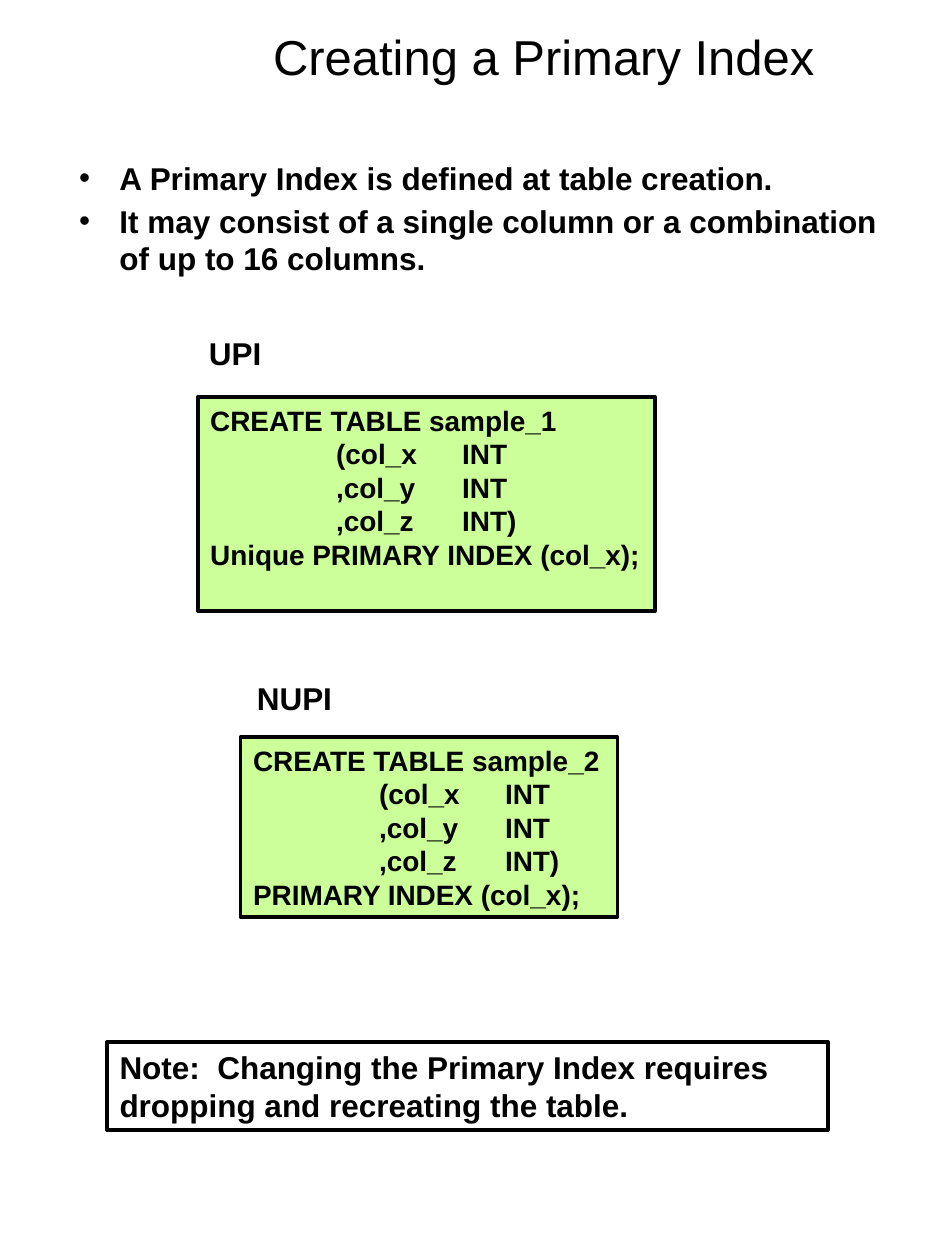
from lxml.etree import SubElement
from pptx import Presentation
from pptx.dml.color import RGBColor
from pptx.enum.shapes import MSO_SHAPE
from pptx.enum.text import MSO_ANCHOR, PP_ALIGN
from pptx.oxml.ns import qn
from pptx.util import Inches, Pt

BLACK = RGBColor(0x00, 0x00, 0x00)
LIGHT_GREEN = RGBColor(0xCC, 0xFF, 0x99)


class SlideBuilder:
    font_name = "Arial"
    line_width = Pt(2)
    bullet_indent = Inches(0.32)
    tab_count = 8

    def __init__(self, slide):
        self.slide = slide

    def set_text(self, shape, text, size, bold=True, wrap=True):
        frame = shape.text_frame
        frame.text = text
        frame.word_wrap = wrap
        frame.vertical_anchor = MSO_ANCHOR.TOP
        for para in frame.paragraphs:
            para.alignment = PP_ALIGN.LEFT
            for span in para.runs:
                span.font.name = self.font_name
                span.font.size = Pt(size)
                span.font.bold = bold
                span.font.color.rgb = BLACK
        return frame

    def add_tabs(self, para):
        tabs = SubElement(para._p.get_or_add_pPr(), qn("a:tabLst"))
        for inch in range(1, self.tab_count + 1):
            SubElement(tabs, qn("a:tab"), pos=str(Inches(inch)), algn="l")

    def text_box(self, left, top, width, height, text, size=18, bold=True, wrap=True):
        box = self.slide.shapes.add_textbox(
            Inches(left), Inches(top), Inches(width), Inches(height))
        return self.set_text(box, text, size, bold, wrap)

    def title(self, left, top, width, height, text):
        frame = self.text_box(left, top, width, height, text, size=28, bold=False)
        frame.vertical_anchor = MSO_ANCHOR.MIDDLE
        frame.paragraphs[0].alignment = PP_ALIGN.CENTER

    def bullets(self, left, top, width, height, items):
        frame = self.text_box(left, top, width, height, "\n".join(items))
        for para in frame.paragraphs:
            para.space_after = Pt(3)
            properties = para._p.get_or_add_pPr()
            properties.set("marL", str(self.bullet_indent))
            properties.set("indent", str(-self.bullet_indent))
            SubElement(properties, qn("a:buFont"), typeface=self.font_name)
            SubElement(properties, qn("a:buChar"), char="•")

    def label(self, left, top, width, height, text):
        self.text_box(left, top, width, height, text, wrap=False)

    def framed_box(self, left, top, width, height, text, size=18, fill=None):
        box = self.slide.shapes.add_shape(
            MSO_SHAPE.RECTANGLE,
            Inches(left), Inches(top), Inches(width), Inches(height))
        box.shadow.inherit = False
        box.line.color.rgb = BLACK
        box.line.width = self.line_width
        if fill is None:
            box.fill.background()
        else:
            box.fill.solid()
            box.fill.fore_color.rgb = fill
        return self.set_text(box, text, size)

    def code_box(self, left, top, width, height, table, index):
        columns = "\n".join(["\t(col_x\tINT", "\t,col_y\tINT", "\t,col_z\tINT)"])
        code = f"CREATE TABLE {table}\n{columns}\n{index} (col_x);"
        frame = self.framed_box(left, top, width, height, code, 16, LIGHT_GREEN)
        for para in frame.paragraphs:
            self.add_tabs(para)


def main():
    deck = Presentation()
    deck.slide_width = Inches(7.5)
    deck.slide_height = Inches(10)
    page = SlideBuilder(deck.slides.add_slide(deck.slide_layouts[6]))

    # Title and key points
    page.title(1.63, 0, 5.37, 0.89, "Creating a Primary Index")
    page.bullets(0.53, 1.21, 6.64, 1.04, [
        "A Primary Index is defined at table creation.",
        "It may consist of a single column or a combination of up to 16 columns.",
    ])

    # Unique primary index
    page.label(1.56, 2.6, 0.62, 0.4, "UPI")
    page.code_box(1.57, 3.15, 3.63, 1.7, "sample_1", "Unique PRIMARY INDEX")

    # Non-unique primary index
    page.label(1.94, 5.34, 0.8, 0.4, "NUPI")
    page.code_box(1.91, 5.85, 2.99, 1.43, "sample_2", "PRIMARY INDEX")

    # Closing note
    page.framed_box(
        0.85, 8.27, 5.72, 0.7,
        "Note:  Changing the Primary Index requires dropping and recreating the table.")

    deck.save("out.pptx")


if __name__ == "__main__":
    main()
